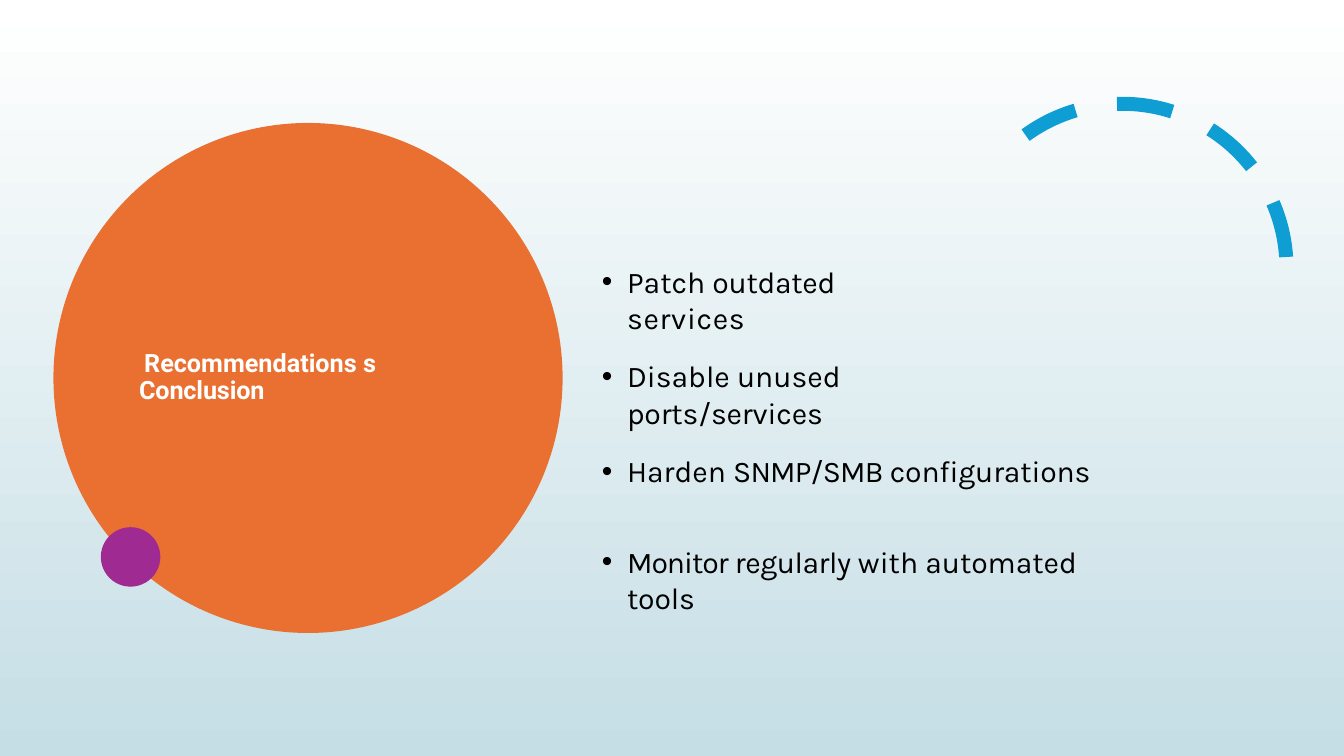
from dataclasses import dataclass
from math import cos, radians, sin
from lxml.etree import SubElement
from pptx import Presentation
from pptx.dml.color import RGBColor as Rgb
from pptx.enum.dml import MSO_LINE as Dash
from pptx.enum.shapes import MSO_SHAPE as Kind
from pptx.enum.text import MSO_ANCHOR as Anchor, MSO_AUTO_SIZE as Fit, PP_ALIGN as Align
from pptx.oxml.ns import qn
from pptx.util import Inches, Pt


@dataclass(frozen=True)
class Theme:
    top: str = "FFFFFF"
    base: str = "C5DEE5"
    disc: str = "E97031"
    dot: str = "9F2B92"
    arc: str = "0E9ED4"
    head: tuple = ("Roboto", 18, "FFFFFF", True)
    body: tuple = ("Karla", 21.5, "000000", False)


THEME = Theme()
TITLE = [("Recommendations ", 0), ("s ", 3.9), ("Conclusion", -0.1)]
PATCH = [("Patch ", 0), ("outdated ", -0.2), ("services", 0.5)]
PORTS = [("Disable unused ", 0), ("ports/services", -0.1)]
HARDEN = [("Harden ", 0), ("SNMP/SMB ", -0.6), ("configurations", -0.1)]
WATCH = [("Monitor ", -0.7), ("regularly ", -0.3), ("with automated ", 0), ("tools", -0.1)]
LISTS = [
    ((5.96, 2.59, 3.44, 0.39), [(PATCH, 1.2)]),
    ((5.96, 3.53, 4.27, 0.39), [(PORTS, 1.2)]),
    ((5.96, 4.47, 5.36, 1.33), [(HARDEN, 1.3), (WATCH, 39)]),
]
DISCS = [((0.53, 1.22, 5.05, 5.06), THEME.disc), ((1, 5.23, 0.59, 0.59), THEME.dot)]
ARC = {"mid": (11.13, 2.66), "size": 1.63, "from": 234, "to": 360, "step": 2}


def color(code):
    return Rgb.from_string(code)


def place(shape, box, inset):
    shape.left, shape.top, shape.width, shape.height = map(Inches, box)
    frame = shape.text_frame
    frame.margin_left = frame.margin_right = frame.margin_bottom = 0
    frame.margin_top = Inches(inset)
    frame.word_wrap = True
    frame.vertical_anchor = Anchor.TOP
    frame.auto_size = Fit.SHAPE_TO_FIT_TEXT
    return frame


def write(para, runs, style, left, indent, before, line, bullet=None):
    props = para._p.get_or_add_pPr()
    props.set("marL", str(Inches(left)))
    props.set("indent", str(Inches(indent)))
    if bullet:
        SubElement(props, qn("a:buFont")).set("typeface", "Arial")
        SubElement(props, qn("a:buChar")).set("char", bullet)
    para.alignment = Align.LEFT
    para.line_spacing = line
    para.space_before, para.space_after = Pt(before), Pt(0)
    font = para.font
    font.name, size, ink, font.bold = style
    font.size = Pt(size)
    font.color.rgb = color(ink)
    for text, gap in runs:
        run = para.add_run()
        run.text = text
        if gap:
            run._r.get_or_add_rPr().set("spc", str(round(gap * 100)))


def oval(slide, box, ink):
    shape = slide.shapes.add_shape(Kind.OVAL, *map(Inches, box))
    shape.shadow.inherit = False
    shape.fill.solid()
    shape.fill.fore_color.rgb = color(ink)
    shape.line.fill.background()
    return shape


def curve(slide):
    x, y = ARC["mid"]
    size = ARC["size"]
    turns = [radians(a) for a in range(ARC["from"], ARC["to"] + 1, ARC["step"])]
    points = [(Inches(x + size * cos(t)), Inches(y + size * sin(t))) for t in turns]
    form = slide.shapes.build_freeform(*points[0])
    form.add_line_segments(points[1:], close=False)
    shape = form.convert_to_shape()
    shape.shadow.inherit = False
    shape.fill.background()
    shape.line.color.rgb = color(THEME.arc)
    shape.line.width = Pt(10)
    shape.line.dash_style = Dash.DASH


def main():
    deck = Presentation()
    deck.slide_width, deck.slide_height = Inches(13.33), Inches(7.5)
    slide = deck.slides.add_slide(deck.slide_layouts.get_by_name("Comparison"))
    fill = slide.background.fill
    fill.gradient()
    fill.gradient_angle = 270
    for stop, ink, spot in zip(fill.gradient_stops, (THEME.top, THEME.base), (0, 1)):
        stop.color.rgb = color(ink)
        stop.position = spot

    title, *bodies = slide.placeholders
    frame = place(title, (1.37, 3.42, 2.45, 0.6), 0.05)
    write(frame.paragraphs[0], TITLE, THEME.head, 0.01, 0.05, 3.4, Pt(19.5))
    for body, (box, items) in zip(bodies, LISTS):
        frame = place(body, box, 0.02)
        for i, (runs, before) in enumerate(items):
            para = frame.add_paragraph() if i else frame.paragraphs[0]
            write(para, runs, THEME.body, 0.26, -0.25, before, 1.0, "•")
    for spare in bodies[len(LISTS):]:
        spare.element.getparent().remove(spare.element)

    disc, dot = [oval(slide, *item) for item in DISCS]
    title.element.addprevious(disc.element)
    curve(slide)
    deck.save("out.pptx")


if __name__ == "__main__":
    main()
